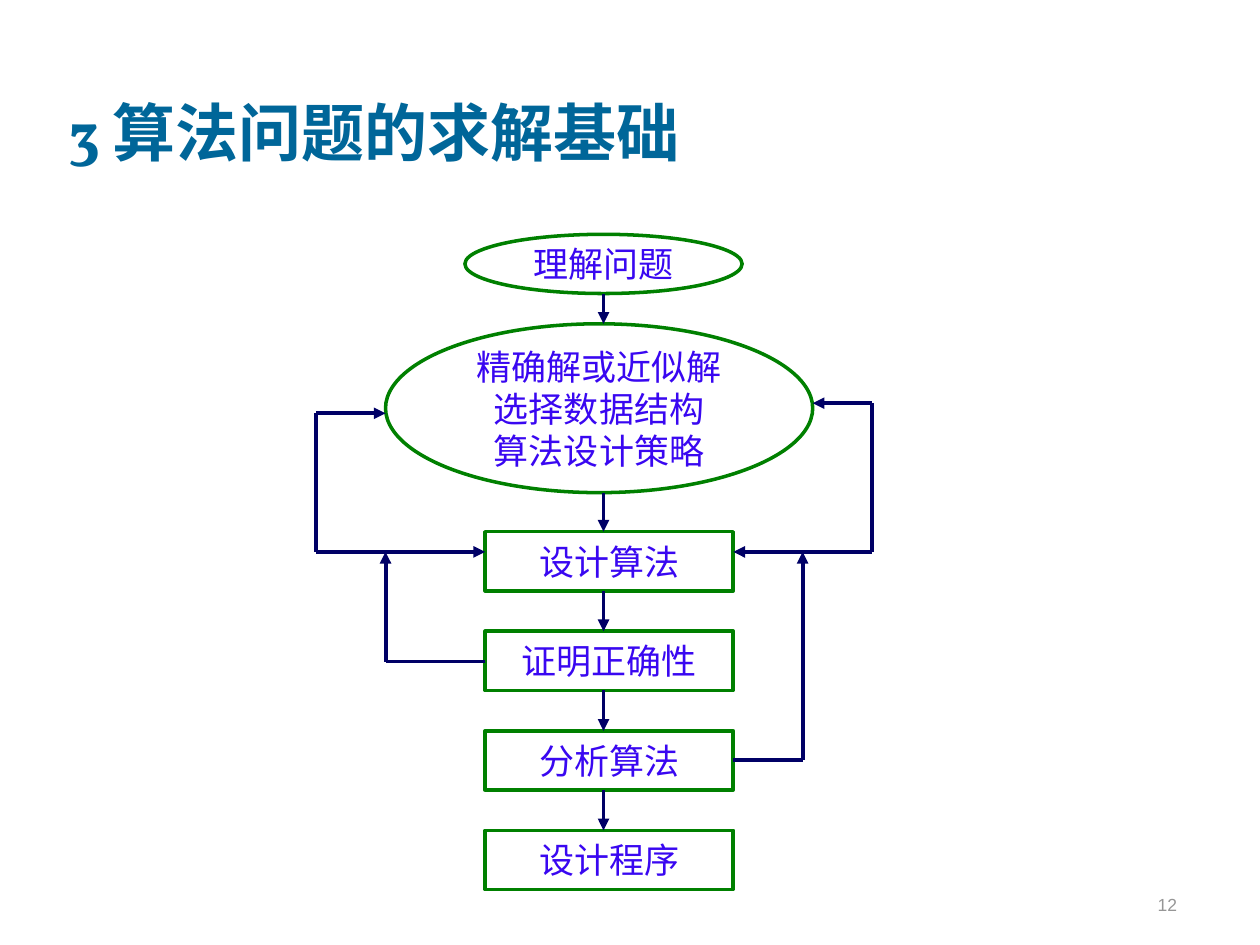
import itertools

import lxml.etree
import pptx
import pptx.dml.color
import pptx.enum.shapes
import pptx.enum.text
import pptx.oxml.ns
import pptx.util

PX = 9144  # EMU per px, 100 px to the inch
SHAPE = pptx.enum.shapes.MSO_SHAPE
ALIGN = pptx.enum.text.PP_ALIGN
ANCHOR = pptx.enum.text.MSO_ANCHOR


def px(*values):
    return [pptx.util.Emu(v * PX) for v in values]


def rgb(value):
    return pptx.dml.color.RGBColor.from_string(value)


class FlowSlide:
    TITLE, TEXT, BORDER, ARROW, NUMBER = "006699", "3907F1", "008000", "000066", "969696"

    def __init__(self, prs):
        self.slide = prs.slides.add_slide(prs.slide_layouts[5])

    def set_text(self, sp, text, size, color, align, anchor, font="Arial", bold=False):
        tf = sp.text_frame
        tf.text = text
        tf.auto_size = pptx.enum.text.MSO_AUTO_SIZE.NONE
        tf.vertical_anchor = anchor
        for p in tf.paragraphs:
            p.alignment = align
            for r in p.runs:
                r.font.name, r.font.size, r.font.bold = font, pptx.util.Pt(size), bold
                r.font.color.rgb = rgb(color)
        return tf

    def title(self, text, left, top, width, height, inset):
        sp = self.slide.shapes.title
        sp.left, sp.top, sp.width, sp.height = px(left, top, width, height)
        tf = self.set_text(sp, text, 36, self.TITLE, ALIGN.LEFT, ANCHOR.TOP, "Vollkorn", True)
        tf.margin_top, tf.margin_bottom = px(inset, 0)

    def number(self, text, *box):
        sp = self.slide.shapes.add_textbox(*px(*box))
        tf = self.set_text(sp, text, 10, self.NUMBER, ALIGN.RIGHT, ANCHOR.BOTTOM)
        tf.word_wrap = True

    def step(self, kind, text, *box):
        sp = self.slide.shapes.add_shape(kind, *px(*box))
        sp.shadow.inherit = False
        sp.fill.solid()
        sp.fill.fore_color.rgb = rgb("FFFFFF")
        sp.line.color.rgb = rgb(self.BORDER)
        sp.line.width = pptx.util.Pt(2)
        tf = self.set_text(sp, text, 20, self.TEXT, ALIGN.CENTER, ANCHOR.MIDDLE)
        tf.word_wrap = False

    def route(self, *points, both=False):
        """Join the points with straight lines; an arrowhead ends the last, and starts the first if both."""
        segments = list(itertools.pairwise(points))
        for i, (start, end) in enumerate(segments):
            line = self.slide.shapes.add_connector(
                pptx.enum.shapes.MSO_CONNECTOR.STRAIGHT, *px(*start, *end))
            line.line.color.rgb = rgb(self.ARROW)
            line.line.width = pptx.util.Pt(2.25)
            sp_pr = line._element.spPr
            ln = sp_pr.find(pptx.oxml.ns.qn("a:ln"))
            if both and i == 0:
                self.arrowhead(ln, "a:headEnd")
            if i == len(segments) - 1:
                self.arrowhead(ln, "a:tailEnd")
            lxml.etree.SubElement(sp_pr, pptx.oxml.ns.qn("a:effectLst"))

    def arrowhead(self, ln, tag):
        lxml.etree.SubElement(ln, pptx.oxml.ns.qn(tag), type="triangle")


def main():
    prs = pptx.Presentation()
    prs.slide_width, prs.slide_height = px(1000, 750)
    s = FlowSlide(prs)
    s.number("12", 736, 681, 208, 50)
    s.title("3 算法问题的求解基础", 44, 17, 850, 125, 57)

    s.step(SHAPE.OVAL, "理解问题", 369, 186, 220, 47)
    s.step(SHAPE.OVAL, "精确解或近似解\n选择数据结构\n算法设计策略", 306, 257, 339, 134)

    left, width, height, first, pitch = 385, 197, 47, 422, 79
    right = left + width
    steps = ["设计算法", "证明正确性", "分析算法", "设计程序"]
    tops = [first + i * pitch for i in range(len(steps))]
    for text, top in zip(steps, tops):
        s.step(SHAPE.RECTANGLE, text, left, top, width, height)

    axis = 479
    bottoms = [233, 391] + [top + height for top in tops[:-1]]
    for start, end in zip(bottoms, [257] + tops):
        s.route((axis, start), (axis, end))

    entry = 438
    s.route((306, 328), (251, 328), (251, entry), (left, entry), both=True)
    s.route((645, 320), (692, 320), (692, entry), (right, entry), both=True)
    s.route((left, 525), (306, 525), (306, entry))
    s.route((right, 603), (637, 603), (637, entry))

    prs.save("out.pptx")


if __name__ == "__main__":
    main()
